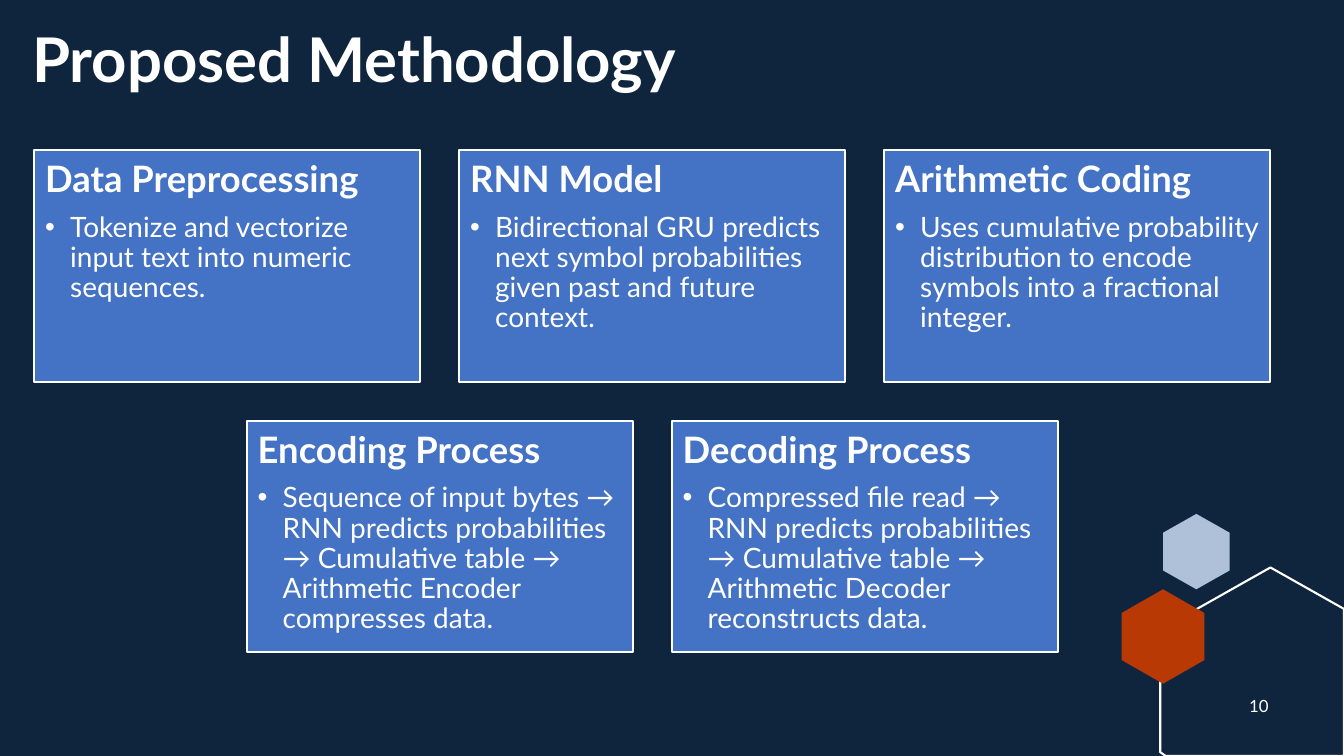
from dataclasses import dataclass
from typing import NamedTuple

from lxml import etree
from pptx import Presentation
from pptx.dml.color import RGBColor
from pptx.enum.shapes import MSO_SHAPE
from pptx.enum.text import MSO_ANCHOR, PP_ALIGN
from pptx.oxml.ns import qn
from pptx.util import Cm, Pt

RECTANGLE = MSO_SHAPE.RECTANGLE
TOP, MIDDLE = MSO_ANCHOR.TOP, MSO_ANCHOR.MIDDLE
LEFT, CENTER = PP_ALIGN.LEFT, PP_ALIGN.CENTER


@dataclass(frozen=True)
class Theme:
    font: str = "Lato"
    background: RGBColor = RGBColor(0x0F, 0x25, 0x3E)
    text: RGBColor = RGBColor(0xFF, 0xFF, 0xFF)
    card: RGBColor = RGBColor(0x44, 0x72, 0xC4)
    pale: RGBColor = RGBColor(0xAE, 0xC1, 0xD8)
    accent: RGBColor = RGBColor(0xB8, 0x39, 0x03)
    title_size: Pt = Pt(44)
    heading_size: Pt = Pt(26)
    body_size: Pt = Pt(20)
    number_size: Pt = Pt(12)
    line_width: Pt = Pt(1.5)


class Box(NamedTuple):
    left: int
    top: int
    width: int
    height: int


THEME = Theme()
CARD_WIDTH, CARD_HEIGHT, CARD_GAP = Cm(9.73), Cm(5.84), Cm(0.98)
CARD_INSET, BULLET_INDENT = Cm(0.28), Cm(0.63)
HEXAGON = [(0.5, 0), (1, 0.25), (1, 0.75), (0.5, 1), (0, 0.75), (0, 0.25)]
CROPPED_HEXAGON = [(0.6, 0), (1, 0.22), (1, 1), (0.03, 1), (0, 0.98), (0, 0.33)]
CARD_ROWS = [
    [
        ("Data Preprocessing", "Tokenize and vectorize input text into numeric sequences."),
        ("RNN Model", "Bidirectional GRU predicts next symbol probabilities given past "
                      "and future context."),
        ("Arithmetic Coding", "Uses cumulative probability distribution to encode symbols "
                              "into a fractional integer."),
    ],
    [
        ("Encoding Process", "Sequence of input bytes → RNN predicts probabilities → "
                             "Cumulative table → Arithmetic Encoder compresses data."),
        ("Decoding Process", "Compressed file read → RNN predicts probabilities → "
                             "Cumulative table → Arithmetic Decoder reconstructs data."),
    ],
]


def set_attributes(target, values):
    for name, value in values.items():
        setattr(target, name, value)


def write_paragraph(paragraph, text, font, layout):
    set_attributes(paragraph, layout)
    run = paragraph.add_run()
    run.text = text
    set_attributes(run.font, {"name": THEME.font, **font})
    run.font.color.rgb = THEME.text


def add_bullet(paragraph):
    properties = paragraph._p.get_or_add_pPr()
    properties.set("marL", str(BULLET_INDENT))
    properties.set("indent", str(-BULLET_INDENT))
    etree.SubElement(properties, qn("a:buFont")).set("typeface", "Arial")
    etree.SubElement(properties, qn("a:buChar")).set("char", "•")


def paint(shape, fill=None, line=None):
    shape.shadow.inherit = False
    for part, color in ((shape.fill, fill), (shape.line.fill, line)):
        if color is None:
            part.background()
        else:
            part.solid()
            part.fore_color.rgb = color
    if line is not None:
        shape.line.width = THEME.line_width


def add_label(slide, box, text, font, layout, anchor):
    frame = slide.shapes.add_textbox(*box).text_frame
    set_attributes(frame, {"word_wrap": True, "vertical_anchor": anchor})
    write_paragraph(frame.paragraphs[0], text, font, layout)


def add_outline(slide, box, points, **colors):
    """Draw a closed polygon whose points are fractions of the box."""
    corners = [(round(box.left + x * box.width), round(box.top + y * box.height))
               for x, y in points]
    builder = slide.shapes.build_freeform(*corners[0])
    builder.add_line_segments(corners[1:], close=True)
    paint(builder.convert_to_shape(), **colors)


def add_hexagons(slide, box):
    """Place the hexagon cluster in the corner given by the box."""
    left, top, width, height = box
    add_outline(slide, Box(left + Cm(1.04), top, Cm(1.68), Cm(1.9)), HEXAGON,
                fill=THEME.pale)
    add_outline(slide, Box(left + Cm(0.97), top + Cm(1.35), width - Cm(0.97),
                           height - Cm(1.35)), CROPPED_HEXAGON, line=THEME.text)
    add_outline(slide, Box(left, top + Cm(1.9), Cm(2.08), Cm(2.38)), HEXAGON,
                fill=THEME.accent)


def add_card(slide, box, heading, body):
    card = slide.shapes.add_shape(RECTANGLE, *box)
    paint(card, fill=THEME.card, line=THEME.text)
    frame = card.text_frame
    margins = {f"margin_{side}": CARD_INSET for side in ("left", "top", "right", "bottom")}
    set_attributes(frame, {"word_wrap": True, "vertical_anchor": TOP, **margins})
    layout = {"alignment": LEFT, "line_spacing": 0.9}
    write_paragraph(frame.paragraphs[0], heading,
                    {"size": THEME.heading_size, "bold": True},
                    {**layout, "space_after": Pt(9)})
    bullet = frame.add_paragraph()
    write_paragraph(bullet, body, {"size": THEME.body_size, "bold": False},
                    {**layout, "level": 1, "space_after": Pt(3)})
    add_bullet(bullet)


def add_card_grid(slide, box):
    """Stack the card rows in the box, each row centred across it."""
    for row_index, row in enumerate(CARD_ROWS):
        row_width = len(row) * (CARD_WIDTH + CARD_GAP) - CARD_GAP
        row_left = box.left + (box.width - row_width) // 2
        top = box.top + row_index * (CARD_HEIGHT + CARD_GAP)
        for column, (heading, body) in enumerate(row):
            left = row_left + column * (CARD_WIDTH + CARD_GAP)
            add_card(slide, Box(left, top, CARD_WIDTH, CARD_HEIGHT), heading, body)


def add_methodology_slide(presentation, box):
    slide = presentation.slides.add_slide(presentation.slide_layouts[6])
    slide.background.fill.solid()
    slide.background.fill.fore_color.rgb = THEME.background
    left, top, width, height = box
    right, bottom = left + width, top + height
    add_hexagons(slide, Box(right - Cm(5.6), bottom - Cm(6.1), Cm(5.6), Cm(6.1)))
    add_label(slide, Box(left + Cm(0.56), top + Cm(0.61), Cm(23.19), Cm(1.96)),
              "Proposed Methodology", {"size": THEME.title_size, "bold": True},
              {"alignment": LEFT, "line_spacing": 0.9}, TOP)
    add_label(slide, Box(right - Cm(2.78), bottom - Cm(1.78), Cm(1.27), Cm(1.02)),
              "10", {"size": THEME.number_size},
              {"alignment": CENTER, "space_after": Pt(6)}, MIDDLE)
    add_card_grid(slide, Box(left + Cm(0.86), top + Cm(3.78), Cm(31.15), Cm(12.66)))


def main():
    presentation = Presentation()
    set_attributes(presentation, {"slide_width": Cm(33.87), "slide_height": Cm(19.05)})
    add_methodology_slide(
        presentation, Box(0, 0, presentation.slide_width, presentation.slide_height))
    presentation.save("out.pptx")


if __name__ == "__main__":
    main()
